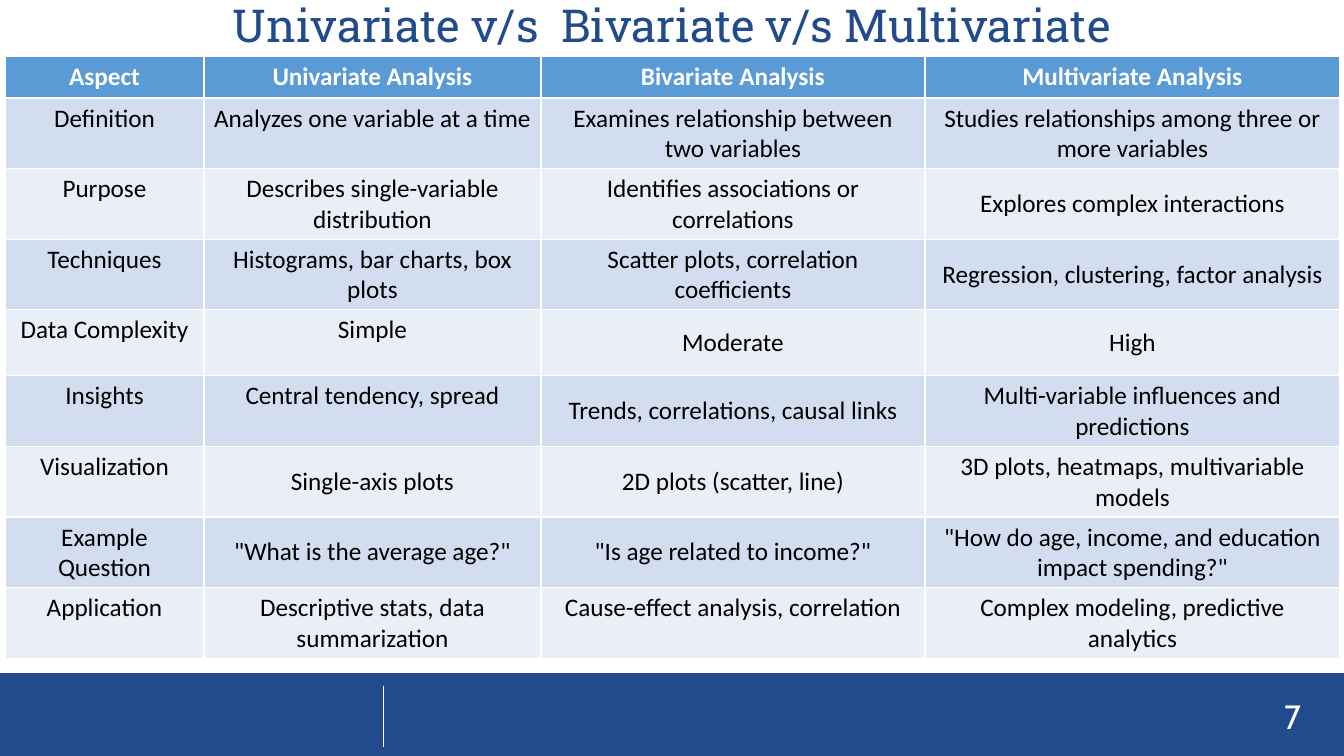
from lxml import etree
from pptx import Presentation
from pptx import util as u
from pptx.dml.color import RGBColor
from pptx.enum import shapes, text

SCALE = 914400 / 100.8
HUES = {"navy": "214B8C", "head": "5B9BD5", "dark": "D2DEEF",
        "light": "EAEFF7", "white": "FFFFFF", "black": "000000"}
hue = {name: RGBColor.from_string(code) for name, code in HUES.items()}


def px(*vals):
    return [u.Emu(round(v * SCALE)) for v in vals]


def style(para, align, color, **fmt):
    para.alignment = align
    para.font.color.rgb = hue[color]
    for key, val in fmt.items():
        setattr(para.font, key, val)


deck = Presentation()
deck.slide_width, deck.slide_height = px(1344, 756)
slide = deck.slides.add_slide(deck.slide_layouts[5])
items = slide.shapes
ALIGN = text.PP_ALIGN
MIDDLE = text.MSO_ANCHOR.MIDDLE

# Footer band
band = items.add_shape(shapes.MSO_SHAPE.RECTANGLE, *px(0, 673, 1344, 83))
band.shadow.inherit = False
band.fill.solid()
band.fill.fore_color.rgb = hue["navy"]
band.line.fill.background()

# Footer divider
rule = items.add_connector(shapes.MSO_CONNECTOR.STRAIGHT, *px(383, 686, 383, 747))
rule.line.color.rgb = hue["white"]
rule.line.width = u.Pt(0.5)
etree.SubElement(rule._element.spPr,
                 "{http://schemas.openxmlformats.org/drawingml/2006/main}effectLst")

# Page number
page = items.add_textbox(*px(1146, 696, 165, 40)).text_frame
page.text = "7"
page.word_wrap = True
page.vertical_anchor = MIDDLE
style(page.paragraphs[0], ALIGN.RIGHT, "white", name="Cabin", size=u.Pt(24))

# Title
title = items.title
title.left, title.top, title.width, title.height = px(0, 0, 1344, 56)
frame = title.text_frame
frame.text = "Univariate v/s  Bivariate v/s Multivariate"
frame.vertical_anchor = MIDDLE
frame.margin_top = frame.margin_bottom = 0
frame.paragraphs[0].line_spacing = 0.9
style(frame.paragraphs[0], ALIGN.CENTER, "navy", name="Roboto Slab", size=u.Pt(32.4))

# Comparison table: each row has its cell anchors (t top, m middle) and texts
ROWS = [
    ("tttt", "Aspect", "Univariate Analysis", "Bivariate Analysis",
     "Multivariate Analysis"),
    ("tttm", "Definition", "Analyzes one variable at a time",
     "Examines relationship between two variables",
     "Studies relationships among three or more variables"),
    ("tttm", "Purpose", "Describes single-variable distribution",
     "Identifies associations or correlations", "Explores complex interactions"),
    ("tttm", "Techniques", "Histograms, bar charts, box plots",
     "Scatter plots, correlation coefficients",
     "Regression, clustering, factor analysis"),
    ("ttmm", "Data Complexity", "Simple", "Moderate", "High"),
    ("ttmt", "Insights", "Central tendency, spread",
     "Trends, correlations, causal links",
     "Multi-variable influences and predictions"),
    ("tmmm", "Visualization", "Single-axis plots", "2D plots (scatter, line)",
     "3D plots, heatmaps, multivariable models"),
    ("tmmm", "Example Question", '"What is the average age?"',
     '"Is age related to income?"',
     '"How do age, income, and education impact spending?"'),
    ("tmtm", "Application", "Descriptive stats, data summarization",
     "Cause-effect analysis, correlation",
     "Complex modeling, predictive analytics"),
]
WIDTHS = px(199, 337, 384, 415)
HEIGHTS = px(42, 69, 69, 69, 66, 69, 69, 69, 69)
ANCHORS = {"t": text.MSO_ANCHOR.TOP, "m": MIDDLE}

table = items.add_table(len(ROWS), len(WIDTHS), *px(5, 56, 1335, 591)).table
for col, width in zip(table.columns, WIDTHS):
    col.width = width
for i, (row, height, (marks, *words)) in enumerate(zip(table.rows, HEIGHTS, ROWS)):
    row.height = height
    top = i == 0
    fill = "head" if top else "dark" if i % 2 else "light"
    for cell, mark, word in zip(row.cells, marks, words):
        cell.text = word
        cell.vertical_anchor = ANCHORS[mark]
        cell.fill.solid()
        cell.fill.fore_color.rgb = hue[fill]
        style(cell.text_frame.paragraphs[0], ALIGN.CENTER,
              "white" if top else "black", name="Calibri", size=u.Pt(18), bold=top)

deck.save("out.pptx")
